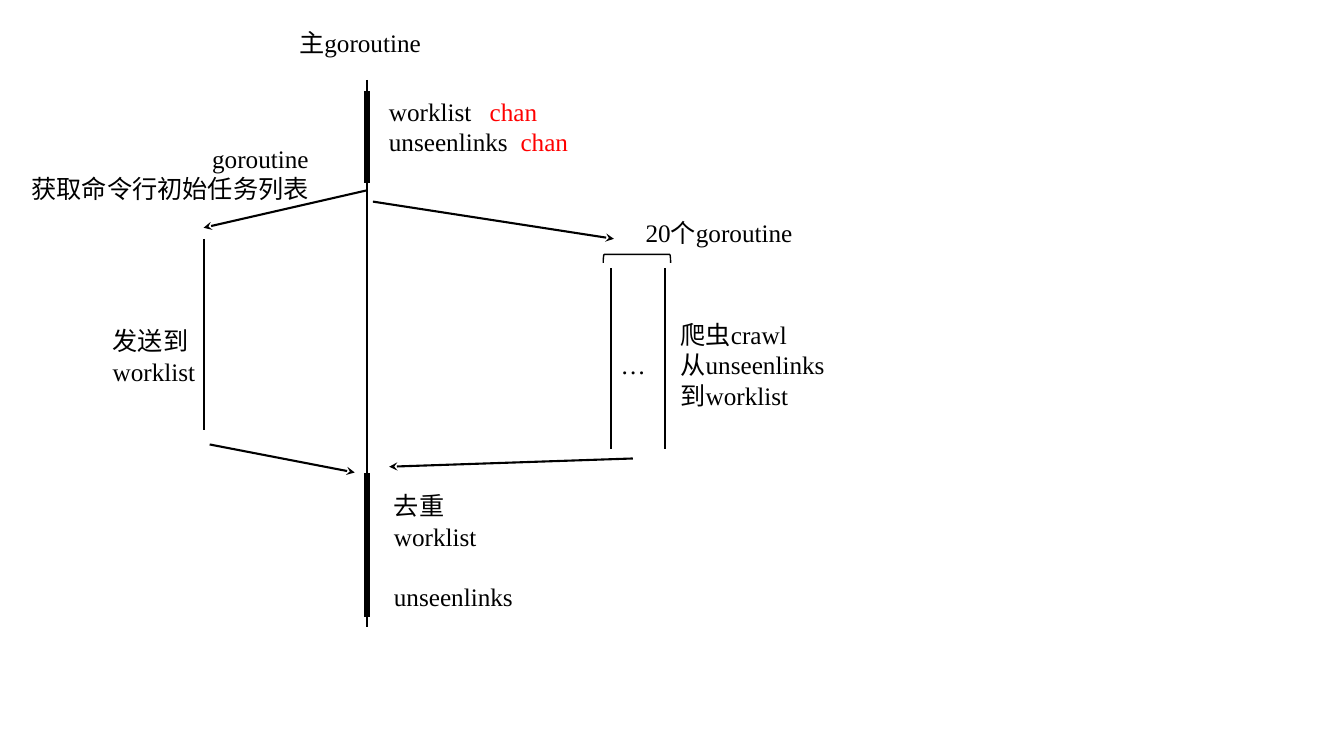
"""Build a slide showing how the goroutines of a web crawler work together."""
from dataclasses import dataclass

from lxml.etree import SubElement
from pptx import Presentation
from pptx.dml.color import RGBColor
from pptx.enum.shapes import MSO_CONNECTOR, MSO_SHAPE
from pptx.enum.text import MSO_AUTO_SIZE, PP_ALIGN
from pptx.oxml.ns import qn
from pptx.util import Pt


@dataclass(frozen=True)
class Theme:
    ink: RGBColor = RGBColor(0, 0, 0)
    accent: RGBColor = RGBColor(255, 0, 0)
    font: str = "Times New Roman"
    text_size: float = 18
    blank_line: float = 21.6
    thin: float = 1
    normal: float = 1.5
    thick: float = 4


theme = Theme()
presentation = Presentation()
presentation.slide_width = Pt(960)
presentation.slide_height = Pt(540)
slide = presentation.slides.add_slide(presentation.slide_layouts[6])


def add_line(start, end, width=theme.normal, arrow=False):
    """Draw a straight line between two points, with an arrowhead at its end if asked."""
    connector = slide.shapes.add_connector(
        MSO_CONNECTOR.STRAIGHT, *(Pt(value) for value in (*start, *end))
    )
    connector.line.color.rgb = theme.ink
    connector.line.width = Pt(width)
    if arrow:
        SubElement(connector.line._get_or_add_ln(), qn("a:tailEnd"), type="stealth")
    SubElement(connector._element.spPr, qn("a:effectLst"))


def add_label(left, top, width, height, lines, align=PP_ALIGN.LEFT):
    """Add a text box and return its paragraphs; each line is a list of runs."""
    box = slide.shapes.add_textbox(Pt(left), Pt(top), Pt(width), Pt(height))
    frame = box.text_frame
    frame.word_wrap = True
    frame.auto_size = MSO_AUTO_SIZE.SHAPE_TO_FIT_TEXT
    for index, runs in enumerate(lines):
        paragraph = frame.add_paragraph() if index else frame.paragraphs[0]
        paragraph.alignment = align
        paragraph.font.name = theme.font
        paragraph.font.size = Pt(theme.text_size)
        for text in runs:
            run = paragraph.add_run()
            run.text = text
            run.font.color.rgb = theme.accent if text == "chan" else theme.ink
    return frame.paragraphs


main_x = 262
add_line((main_x, 57), (main_x, 448))
for top, bottom in ((65, 131), (338, 441)):
    add_line((main_x, top), (main_x, bottom), theme.thick)

add_line((145.7, 170.6), (145.7, 307.4))
for crawler_x in (436.3, 475.2):
    add_line((crawler_x, 191.5), (crawler_x, 320.4))

arrows = [
    ((main_x, 136), (145.4, 162.7)),
    ((266.4, 144), (438.5, 170.6)),
    ((149.8, 317.5), (253.4, 337.5)),
    ((452, 327.5), (278, 333.4)),
]
for start, end in arrows:
    add_line(start, end, arrow=True)

bracket = slide.shapes.add_shape(
    MSO_SHAPE.RIGHT_BRACKET, Pt(452), Pt(160.6), Pt(6), Pt(48.2)
)
bracket.rotation = 270
bracket.adjustments[0] = 0.11
bracket.shadow.inherit = False
bracket.fill.background()
bracket.line.color.rgb = theme.ink
bracket.line.width = Pt(theme.thin)

add_label(206.6, 16, 111.6, 29, [["主goroutine"]])
add_label(
    270.7, 65, 173.5, 51, [["worklist\t", "chan"], ["unseenlinks  ", "chan"]]
)
add_label(
    3, 98.5, 224.6, 51, [["goroutine"], ["获取命令行初始任务列表"]], PP_ALIGN.RIGHT
)
add_label(73.4, 229, 144, 51, [["发送到"], ["worklist"]])
add_label(436.3, 246.2, 35.3, 29, [["…"]])
add_label(454, 152, 131, 29, [["20个goroutine"]])
add_label(479, 224.6, 131.8, 72.7, [["爬虫crawl"], ["从unseenlinks到worklist"]])
result_lines = add_label(
    274.3, 347, 110.9, 94.3, [["去重"], ["worklist"], ["unseenlinks"]]
)
result_lines[-1].space_before = Pt(theme.blank_line)

presentation.save("out.pptx")
